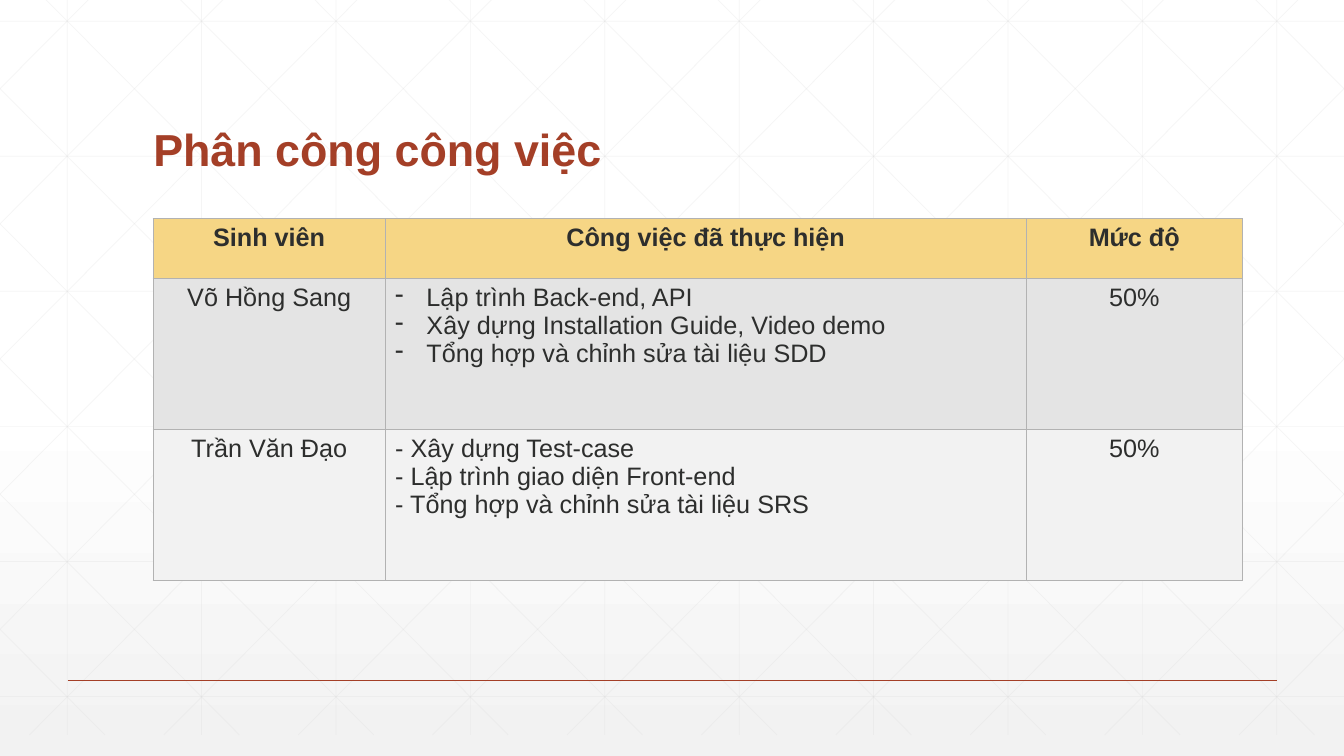
from pptx import Presentation
from pptx.dml.color import RGBColor
from pptx.enum.shapes import MSO_CONNECTOR as Connector
from pptx.enum.text import MSO_ANCHOR as Anchor, PP_ALIGN as Align
from pptx.oxml.ns import qn
from pptx.oxml.xmlchemy import OxmlElement
from pptx.util import Inches, Pt

COLORS = {
    "white": "FFFFFF", "mist": "F2F2F2", "lattice": "D9D9D9", "rust": "A43F27",
    "ink": "2D2E2D", "border": "B2B2B2", "header": "F6D685", "band": "E4E4E4",
}
WIDTH, HEIGHT = 13.33, 7.5
FONT = "Arial"
COLUMNS = [2.3, 6.36, 2.14]
ROW_HEIGHTS = [0.59, 1.5, 1.5]
ROW_FILLS = ["header", "band", "mist"]
ROWS = [
    [["Sinh viên"], ["Công việc đã thực hiện"], ["Mức độ"]],
    [["Võ Hồng Sang"],
     ["Lập trình Back-end, API", "Xây dựng Installation Guide, Video demo",
      "Tổng hợp và chỉnh sửa tài liệu SDD"],
     ["50%"]],
    [["Trần Văn Đạo"],
     ["- Xây dựng Test-case", "- Lập trình giao diện Front-end",
      "- Tổng hợp và chỉnh sửa tài liệu SRS"],
     ["50%"]],
]


def rgb(name):
    return RGBColor.from_string(COLORS[name])


def add_child(parent, tag, **attributes):
    child = OxmlElement(tag)
    for key, value in attributes.items():
        child.set(key, str(value))
    parent.append(child)
    return child


def write_text(frame, lines, size=18, color="ink", bold=False,
               align=Align.LEFT, spacing=None, dashed=False):
    for index, line in enumerate(lines):
        paragraph = frame.add_paragraph() if index else frame.paragraphs[0]
        paragraph.alignment = align
        if spacing:
            paragraph.line_spacing = spacing
        if dashed:
            properties = paragraph._p.get_or_add_pPr()
            properties.set("marL", str(Inches(0.31)))
            properties.set("indent", str(-Inches(0.31)))
            add_child(properties, "a:buFontTx")
            add_child(properties, "a:buChar", char="-")
        run = paragraph.add_run()
        run.text = line
        run.font.name, run.font.size, run.font.bold = FONT, Pt(size), bold
        run.font.color.rgb = rgb(color)


def add_line(shapes, start, end, color, width, opacity=100):
    points = [Inches(value) for value in (*start, *end)]
    connector = shapes.add_connector(Connector.STRAIGHT, *points)
    connector.line.width = Pt(width)
    connector.line.color.rgb = rgb(color)
    if opacity < 100:
        color_element = connector.element.find(".//" + qn("a:srgbClr"))
        add_child(color_element, "a:alpha", val=opacity * 1000)
    add_child(connector.element.spPr, "a:effectLst")


def fill_background(slide):
    fill = slide.background.fill
    fill.gradient()
    fill.gradient_angle = 270
    for stop, position, color in zip(fill.gradient_stops, (0.53, 1), ("white", "mist")):
        stop.position = position
        stop.color.rgb = rgb(color)


def add_lattice(slide, left, top, width, height):
    shapes = slide.shapes.add_group_shape().shapes
    right, bottom = left + width, top + height
    step = width / 10
    slope = 1.006
    segments = []
    for index in range(10):
        x = left + step * (index + 0.5)
        segments.append(((x, top), (x, bottom)))
    for index in range(6):
        y = top + 0.42 + 1.34 * index
        segments.append(((left, y), (right, y)))
    for index in range(-5, 10):
        origin = left + 0.25 + step * index
        ends = [max(origin, left), min(origin + height / slope, right)]
        heights = [top + (x - origin) * slope for x in ends]
        segments.append(tuple(zip(ends, heights)))
        segments.append(tuple(zip([left + right - x for x in ends], heights)))
    for start, end in segments:
        add_line(shapes, start, end, "lattice", 0.5, opacity=25)


def place_title(slide, text, left, top, width, height):
    title = slide.shapes.title
    title.left, title.top = Inches(left), Inches(top)
    title.width, title.height = Inches(width), Inches(height)
    title.text_frame.vertical_anchor = Anchor.BOTTOM
    write_text(title.text_frame, [text], size=32, color="rust", bold=True, spacing=0.9)
    title.element.getparent().append(title.element)


def format_cell(cell, fill):
    properties = cell._tc.get_or_add_tcPr()
    for side in ("a:lnL", "a:lnR", "a:lnT", "a:lnB"):
        border = add_child(properties, side, w=Pt(1))
        solid = add_child(border, "a:solidFill")
        add_child(solid, "a:srgbClr", val=COLORS["border"])
    cell.fill.solid()
    cell.fill.fore_color.rgb = rgb(fill)


def add_task_table(slide, left, top, width, height):
    frame = slide.shapes.add_table(len(ROWS), len(COLUMNS), Inches(left), Inches(top),
                                   Inches(width), Inches(height))
    table = frame.table
    for column, share in zip(table.columns, COLUMNS):
        column.width = Inches(width * share / sum(COLUMNS))
    for row, share in zip(table.rows, ROW_HEIGHTS):
        row.height = Inches(height * share / sum(ROW_HEIGHTS))
    for row_index, row in enumerate(ROWS):
        for column_index, lines in enumerate(row):
            cell = table.cell(row_index, column_index)
            format_cell(cell, ROW_FILLS[row_index])
            is_list = len(lines) > 1
            write_text(cell.text_frame, lines, bold=row_index == 0,
                       align=Align.LEFT if is_list else Align.CENTER,
                       dashed=is_list and row_index == 1)


def build_assignment_slide(presentation):
    slide = presentation.slides.add_slide(presentation.slide_layouts[5])
    fill_background(slide)
    add_lattice(slide, 0, -0.21, WIDTH, HEIGHT)
    add_line(slide.shapes, (0.67, 6.75), (12.67, 6.75), "rust", 1)
    place_title(slide, "Phân công công việc", 1.42, 0.55, 10.5, 1.25)
    add_task_table(slide, 1.52, 2.17, sum(COLUMNS), sum(ROW_HEIGHTS))


presentation = Presentation()
presentation.slide_width, presentation.slide_height = Inches(WIDTH), Inches(HEIGHT)
build_assignment_slide(presentation)
presentation.save("out.pptx")
